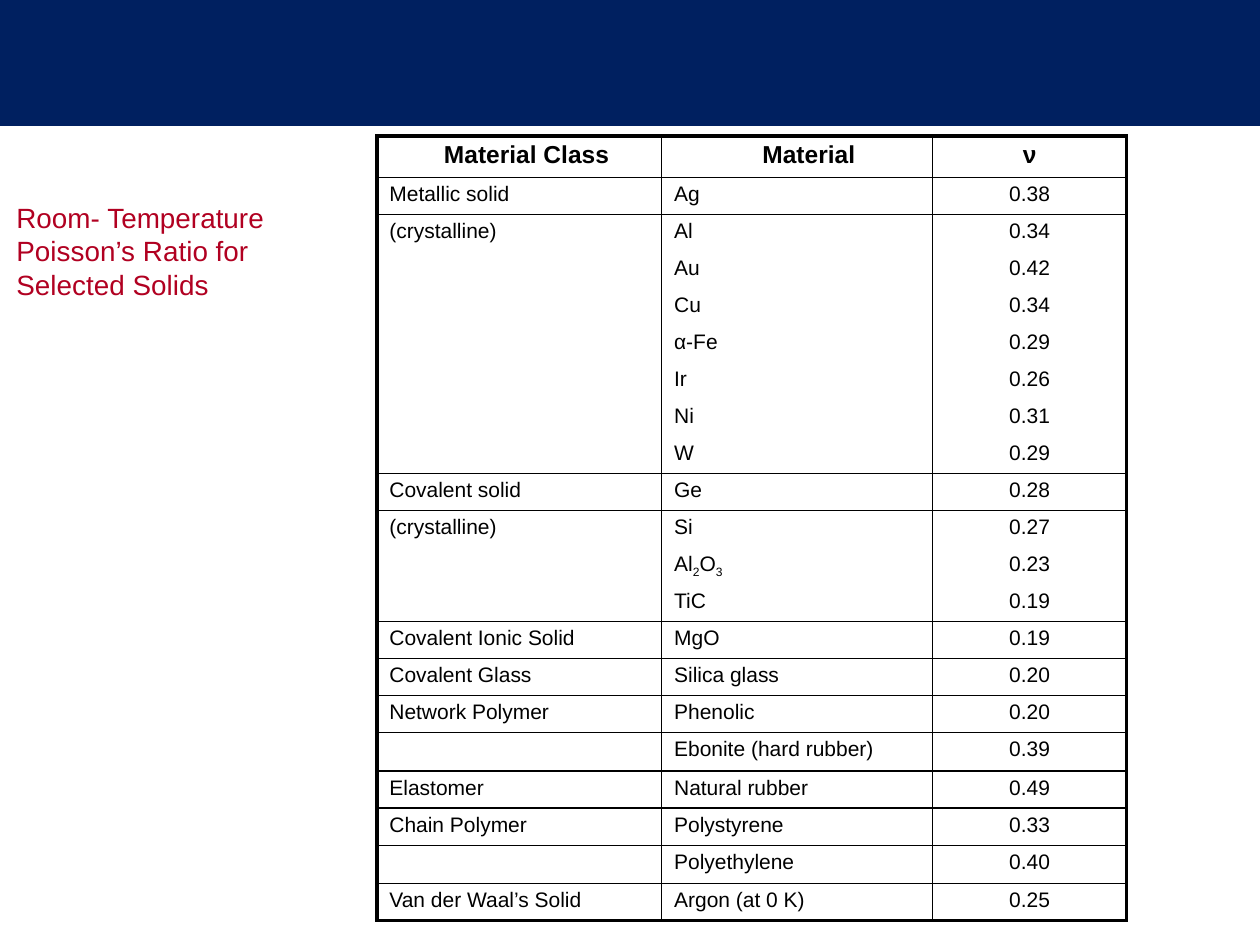
from pptx import Presentation
from pptx.dml.color import RGBColor
from pptx.enum.shapes import MSO_SHAPE
from pptx.enum.text import MSO_ANCHOR, MSO_AUTO_SIZE, PP_ALIGN
from pptx.oxml.ns import qn
from pptx.util import Cm, Pt
from lxml.etree import SubElement

NAVY = RGBColor(0x00, 0x20, 0x60)
CRIMSON = RGBColor(0xB1, 0x00, 0x21)
BLACK = RGBColor(0x00, 0x00, 0x00)

FONT = "Arial"
THICK, MEDIUM, HAIRLINE, NONE = 2.25, 1, 0.5, 0
COL_WIDTHS = (5.74, 5.46, 3.91)
HEADER_HEIGHT, TABLE_HEIGHT = 0.84, 15.77

HEADERS = (("Material Class", 1.35), ("Material", 2.03), ("ν", 0))
GROUPS = [
    (["Metallic solid", "(crystalline)"],
     [("Ag", "0.38"), ("Al", "0.34"), ("Au", "0.42"), ("Cu", "0.34"),
      ("α-Fe", "0.29"), ("Ir", "0.26"), ("Ni", "0.31"), ("W", "0.29")]),
    (["Covalent solid", "(crystalline)"],
     [("Ge", "0.28"), ("Si", "0.27"), ("Al_2_O_3", "0.23"), ("TiC", "0.19")]),
    (["Covalent Ionic Solid"], [("MgO", "0.19")]),
    (["Covalent Glass"], [("Silica glass", "0.20")]),
    (["Network Polymer"],
     [("Phenolic", "0.20"), ("Ebonite (hard rubber)", "0.39")]),
    (["Elastomer"], [("Natural rubber", "0.49")]),
    (["Chain Polymer"], [("Polystyrene", "0.33"), ("Polyethylene", "0.40")]),
    (["Van der Waal’s Solid"], [("Argon (at 0 K)", "0.25")]),
]


def format_run(r, size, color, bold=False):
    r.font.name = FONT
    r.font.size = Pt(size)
    r.font.bold = bold
    r.font.color.rgb = color


def add_banner(s):
    sp = s.shapes.add_shape(MSO_SHAPE.RECTANGLE, 0, 0, Cm(25.4), Cm(2.52))
    sp.shadow.inherit = False
    sp.fill.solid()
    sp.fill.fore_color.rgb = NAVY
    sp.line.color.rgb = NAVY
    sp.line.width = Pt(1)


def fill_title(s, text):
    sp = s.shapes.title
    sp.left, sp.top, sp.width, sp.height = Cm(0.33), Cm(4.01), Cm(5.94), Cm(2.06)
    tf = sp.text_frame
    tf.text = text
    tf.word_wrap = True
    tf.auto_size = MSO_AUTO_SIZE.NONE
    tf.vertical_anchor = MSO_ANCHOR.TOP
    tf.margin_left = tf.margin_right = tf.margin_bottom = 0
    tf.margin_top = Cm(0.03)
    p = tf.paragraphs[0]
    p.alignment = PP_ALIGN.LEFT
    p.line_spacing = 1.0
    format_run(p.runs[0], 15.9, CRIMSON)


def set_borders(cell, widths):
    tcPr = cell._tc.get_or_add_tcPr()
    for side, width in zip("LRTB", widths):
        ln = SubElement(tcPr, qn(f"a:ln{side}"), w=str(Pt(width)))
        if width:
            fill = SubElement(ln, qn("a:solidFill"))
            SubElement(fill, qn("a:srgbClr"), val=str(BLACK))
        else:
            SubElement(ln, qn("a:noFill"))
    cell.fill.background()


def fill_cell(cell, text, indent, size=12, bold=False, centred=False):
    cell.margin_left = Cm(indent)
    cell.margin_right = cell.margin_bottom = 0
    cell.margin_top = Cm(0.1 if text else 0)
    cell.vertical_anchor = MSO_ANCHOR.TOP
    if not text:
        return
    p = cell.text_frame.paragraphs[0]
    p.alignment = PP_ALIGN.CENTER if centred else PP_ALIGN.LEFT
    for i, part in enumerate(text.split("_")):
        r = p.add_run()
        r.text = part
        format_run(r, size, BLACK, bold)
        if i % 2:
            r.font._element.set("baseline", "-25000")


def table_rows():
    for names, materials in GROUPS:
        for i, (material, ratio) in enumerate(materials):
            name = names[i] if i < len(names) else ""
            rule = (MEDIUM, HAIRLINE)[i] if i < 2 else NONE
            yield (name, material, ratio), rule


def merge_classes(table):
    row = 1
    for _, materials in GROUPS:
        count = len(materials)
        if count > 2:
            table.cell(row + 1, 0).merge(table.cell(row + count - 1, 0))
        row += count


def add_ratio_table(s):
    rows = list(table_rows())
    rules = [THICK] + [rule for _, rule in rows] + [THICK]
    sides = (THICK, MEDIUM, MEDIUM, THICK)
    frame = s.shapes.add_table(len(rows) + 1, len(COL_WIDTHS), Cm(7.6), Cm(2.74),
                               Cm(sum(COL_WIDTHS)), Cm(TABLE_HEIGHT))
    table = frame.table
    for column, width in zip(table.columns, COL_WIDTHS):
        column.width = Cm(width)
    for i, row in enumerate(table.rows):
        row.height = Cm((TABLE_HEIGHT - HEADER_HEIGHT) / len(rows) if i else HEADER_HEIGHT)
        for j, cell in enumerate(row.cells):
            set_borders(cell, (sides[j], sides[j + 1], rules[i], rules[i + 1]))
            if i:
                fill_cell(cell, rows[i - 1][0][j], 0 if j == 2 else 0.25, centred=j == 2)
            else:
                text, indent = HEADERS[j]
                fill_cell(cell, text, indent, 14, True, j == 2)
    merge_classes(table)


def main():
    prs = Presentation()
    prs.slide_width, prs.slide_height = Cm(25.4), Cm(19.05)
    s = prs.slides.add_slide(prs.slide_layouts[5])
    add_banner(s)
    fill_title(s, "Room- Temperature Poisson’s Ratio for Selected Solids")
    add_ratio_table(s)
    prs.save("out.pptx")


if __name__ == "__main__":
    main()
